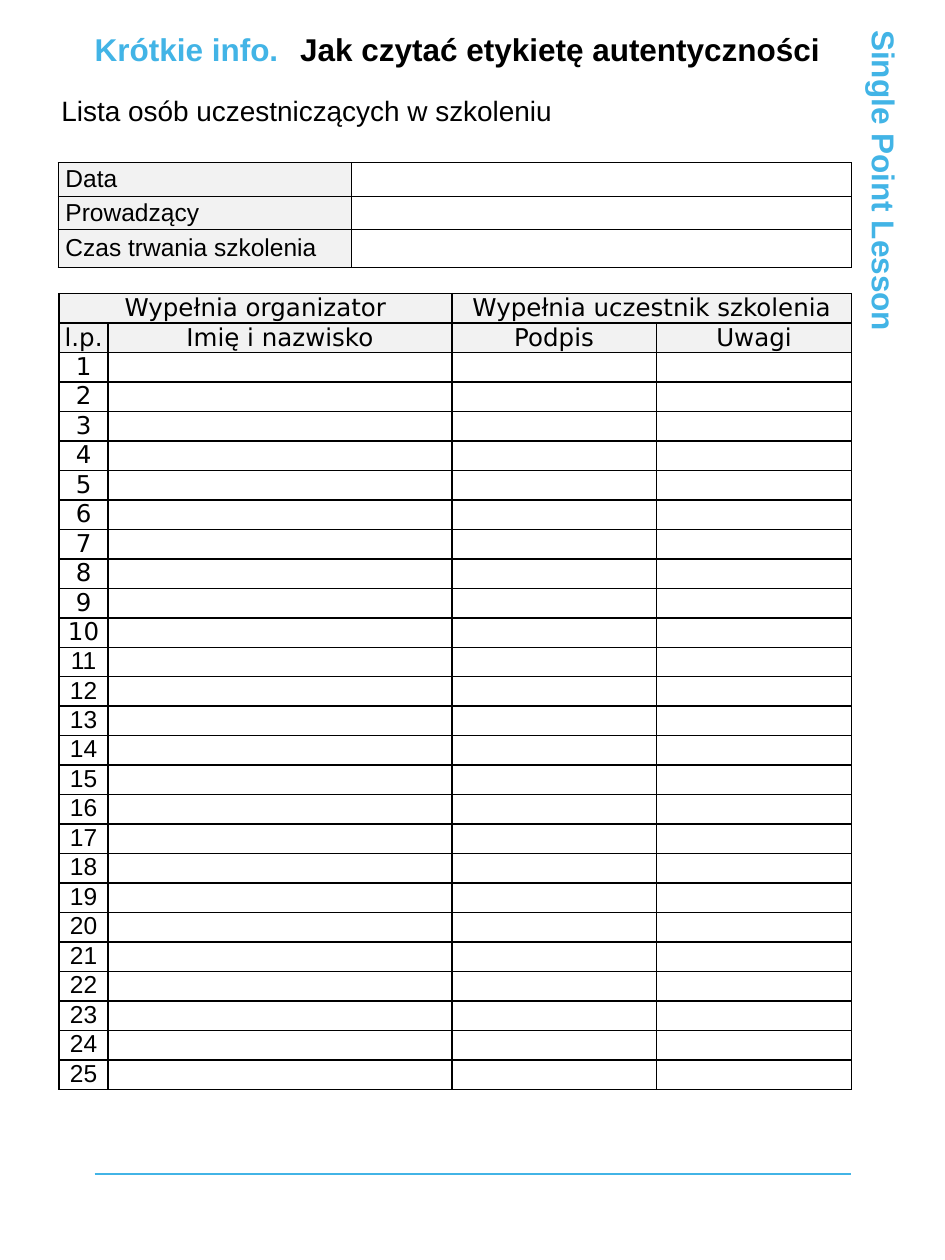
from dataclasses import dataclass

from lxml import etree
from pptx import Presentation
from pptx.dml.color import RGBColor
from pptx.enum.shapes import MSO_CONNECTOR, MSO_SHAPE
from pptx.enum.text import MSO_ANCHOR, PP_ALIGN
from pptx.oxml.ns import qn
from pptx.util import Cm, Pt

LEFT, CENTER = PP_ALIGN.LEFT, PP_ALIGN.CENTER
TOP, MIDDLE = MSO_ANCHOR.TOP, MSO_ANCHOR.MIDDLE
RECTANGLE = MSO_SHAPE.RECTANGLE
STRAIGHT = MSO_CONNECTOR.STRAIGHT


@dataclass(frozen=True)
class Theme:
    accent: RGBColor = RGBColor(0x42, 0xB4, 0xE6)
    ink: RGBColor = RGBColor(0, 0, 0)
    paper: RGBColor = RGBColor(0xFF, 0xFF, 0xFF)
    label_fill: RGBColor = RGBColor(0xF2, 0xF2, 0xF2)
    font: str = "Arial"
    list_font: str = "DejaVu Sans"
    title_size: int = 18
    subtitle_size: int = 16
    table_size: int = 14


THEME = Theme()
PARTICIPANTS = 25
LAST_LIST_FONT_NUMBER = 10  # later numbers use the main font


def write(frame, text, size, color=THEME.ink, bold=False, font=THEME.font, align=LEFT):
    paragraph = frame.paragraphs[0]
    paragraph.alignment = align
    run = paragraph.add_run()
    run.text = text
    run.font.name = font
    run.font.size = Pt(size)
    run.font.bold = bold
    run.font.color.rgb = color


def clear_insets(frame):
    frame.margin_left = frame.margin_right = 0
    frame.margin_top = frame.margin_bottom = 0
    frame.word_wrap = True
    frame.vertical_anchor = TOP


def add_heading(slide, box, text, size, **style):
    heading = slide.shapes.add_textbox(*map(Cm, box))
    clear_insets(heading.text_frame)
    write(heading.text_frame, text, size, **style)


def add_side_label(slide, text):
    label = slide.shapes.add_shape(RECTANGLE, Cm(10.44), Cm(7.62), Cm(14.78), Cm(0.76))
    label.rotation = 90
    label.shadow.inherit = False
    label.fill.solid()
    label.fill.fore_color.rgb = THEME.paper
    label.line.fill.background()
    clear_insets(label.text_frame)
    write(label.text_frame, text, THEME.title_size, THEME.accent, bold=True)


def add_footer_rule(slide):
    rule = slide.shapes.add_connector(STRAIGHT, Cm(1.91), Cm(23.67), Cm(17.15), Cm(23.67))
    rule.line.color.rgb = THEME.accent
    rule.line.width = Pt(1.5)
    etree.SubElement(rule._element.spPr, qn("a:effectLst"))


def set_borders(cell, width):
    """Draw all four edges; border elements must precede the cell's fill."""
    properties = cell._tc.get_or_add_tcPr()
    for position, edge in enumerate(("a:lnL", "a:lnR", "a:lnT", "a:lnB")):
        line = etree.Element(qn(edge), w=str(Pt(width)))
        fill = etree.SubElement(line, qn("a:solidFill"))
        etree.SubElement(fill, qn("a:srgbClr"), val=str(THEME.ink))
        properties.insert(position, line)


def keep_row_low(cell):
    """Give an empty cell the table's type size, so its row does not grow."""
    paragraph = cell.text_frame.paragraphs[0]._p
    etree.SubElement(paragraph, qn("a:endParaRPr"), sz=str(THEME.table_size * 100))


def add_grid(slide, left, top, widths, heights, border, inset):
    """Add a plain bordered table with no text."""
    table = slide.shapes.add_table(
        len(heights), len(widths), Cm(left), Cm(top), Cm(sum(widths)), Cm(sum(heights))
    ).table
    table.first_row = table.horz_banding = False
    for column, width in zip(table.columns, widths):
        column.width = Cm(width)
    for row, height in zip(table.rows, heights):
        row.height = Cm(height)
    for cell in table.iter_cells():
        cell.margin_left = cell.margin_right = Cm(inset)
        cell.margin_top = cell.margin_bottom = 0
        cell.fill.background()
        set_borders(cell, border)
    return table


def fill_label(cell, text, **style):
    cell.fill.solid()
    cell.fill.fore_color.rgb = THEME.label_fill
    cell.vertical_anchor = MIDDLE
    write(cell.text_frame, text, THEME.table_size, **style)


def add_session_table(slide):
    labels = ("Data", "Prowadzący", "Czas trwania szkolenia")
    table = add_grid(slide, 1.17, 3.28, (5.92, 10.08), (0.67, 0.67, 0.77), 0.5, 0.15)
    for row, label in enumerate(labels):
        fill_label(table.cell(row, 0), label)
        keep_row_low(table.cell(row, 1))


def add_attendance_table(slide):
    groups = ("Wypełnia organizator", "Wypełnia uczestnik szkolenia")
    headers = ("l.p.", "Imię i nazwisko", "Podpis", "Uwagi")
    heights = [0.59] * (PARTICIPANTS + 2)
    table = add_grid(slide, 1.19, 5.92, (0.99, 6.93, 4.12, 3.94), heights, 1, 0.1)
    header_style = {"font": THEME.list_font, "align": CENTER}
    for index, group in enumerate(groups):
        first, last = table.cell(0, 2 * index), table.cell(0, 2 * index + 1)
        first.merge(last)
        fill_label(first, group, **header_style)
        keep_row_low(last)
    for column, header in enumerate(headers):
        fill_label(table.cell(1, column), header, **header_style)
    for number in range(1, PARTICIPANTS + 1):
        font = THEME.list_font if number <= LAST_LIST_FONT_NUMBER else THEME.font
        row = number + 1
        write(table.cell(row, 0).text_frame, str(number), THEME.table_size,
              font=font, align=CENTER)
        for column in range(1, len(headers)):
            keep_row_low(table.cell(row, column))


def main():
    presentation = Presentation()
    presentation.slide_width, presentation.slide_height = Cm(19.05), Cm(25.4)
    slide = presentation.slides.add_slide(presentation.slide_layouts[6])

    add_heading(slide, (1.91, 0.61, 7.01, 0.76), "Krótkie info.",
                THEME.title_size, color=THEME.accent, bold=True)
    add_side_label(slide, "Single Point Lesson")
    add_footer_rule(slide)
    add_attendance_table(slide)
    add_heading(slide, (6.05, 0.61, 11.07, 1.14), "Jak czytać etykietę autentyczności",
                THEME.title_size, bold=True)
    add_session_table(slide)
    add_heading(slide, (1.24, 1.88, 15.49, 0.94), "Lista osób uczestniczących w szkoleniu",
                THEME.subtitle_size)

    presentation.save("out.pptx")


if __name__ == "__main__":
    main()
